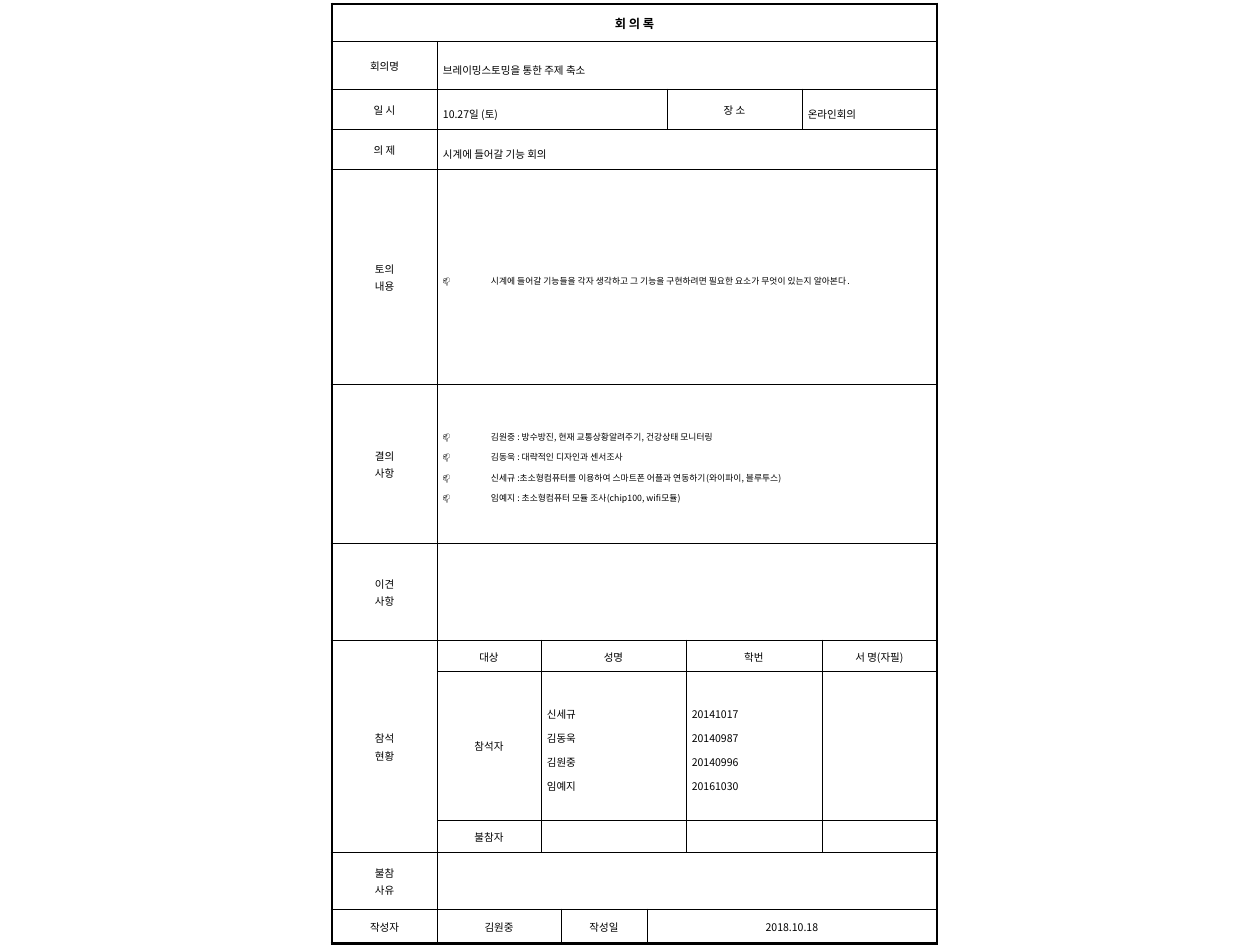
"""Build a one-page meeting minutes form as a merged table."""
from itertools import product

from lxml.etree import SubElement
from pptx import Presentation
from pptx.dml.color import RGBColor
from pptx.enum.text import MSO_ANCHOR as Anchor, PP_ALIGN as Align
from pptx.oxml.ns import qn
from pptx.util import Emu, Pt

COLORS = {"ink": "000000"}
FONT = "Noto Sans CJK KR"
PX = 914400 / 126
THIN, THICK = 0.25, 1.7
COLUMNS = [105, 104, 20, 86, 20, 19, 116, 20, 115]
ROWS = [37, 48, 40, 40, 215, 159, 97, 31, 149, 32, 57, 35]

TITLE = dict(size=7, bold=True)
LABEL = dict()
ENTRY = dict(align=Align.JUSTIFY, spacing=1.6)
ITEM = dict(ENTRY, size=5, bullet="📫")

CELLS = [
    (0, 0, 1, 9, "회 의 록", TITLE),
    (1, 0, 1, 1, "회의명", LABEL),
    (1, 1, 1, 8, "브레이밍스토밍을 통한 주제 축소", ENTRY),
    (2, 0, 1, 1, "일 시", LABEL),
    (2, 1, 1, 4, "10.27일 (토)", ENTRY),
    (2, 5, 1, 2, "장 소", LABEL),
    (2, 7, 1, 2, "온라인회의", ENTRY),
    (3, 0, 1, 1, "의 제", LABEL),
    (3, 1, 1, 8, "시계에 들어갈 기능 회의", ENTRY),
    (4, 0, 1, 1, "토의\n내용", LABEL),
    (4, 1, 1, 8, "시계에 들어갈 기능들을 각자 생각하고 그 기능을 구현하려면 "
                 "필요한 요소가 무엇이 있는지 알아본다.", ITEM),
    (5, 0, 1, 1, "결의\n사항", LABEL),
    (5, 1, 1, 8, "김원중 : 방수방진, 현재 교통상황알려주기, 건강상태 모니터링\n"
                 "김동욱 : 대략적인 디자인과 센서조사\n"
                 "신세규 :초소형컴퓨터를 이용하여 스마트폰 어플과 연동하기(와이파이, 블루투스)\n"
                 "임예지 : 초소형컴퓨터 모듈 조사(chip100, wifi모듈)", ITEM),
    (6, 0, 1, 1, "이견\n사항", LABEL),
    (6, 1, 1, 8, "", ENTRY),
    (7, 0, 3, 1, "참석\n현황", LABEL),
    (7, 1, 1, 1, "대상", LABEL),
    (7, 2, 1, 4, "성명", LABEL),
    (7, 6, 1, 2, "학번", LABEL),
    (7, 8, 1, 1, "서 명(자필)", LABEL),
    (8, 1, 1, 1, "참석자", LABEL),
    (8, 2, 1, 4, "신세규\n김동욱\n김원중\n임예지", ENTRY),
    (8, 6, 1, 2, "20141017\n20140987\n20140996\n20161030", ENTRY),
    (8, 8, 1, 1, "", ENTRY),
    (9, 1, 1, 1, "불참자", LABEL),
    (9, 2, 1, 4, "", ENTRY),
    (9, 6, 1, 2, "", ENTRY),
    (9, 8, 1, 1, "", ENTRY),
    (10, 0, 1, 1, "불참\n사유", LABEL),
    (10, 1, 1, 8, "", ENTRY),
    (11, 0, 1, 1, "작성자", LABEL),
    (11, 1, 1, 2, "김원중", LABEL),
    (11, 3, 1, 1, "작성일", LABEL),
    (11, 4, 1, 5, "2018.10.18", LABEL),
]


def px(length):
    return Emu(round(length * PX))


def write_para(para, text, *, size=6, bold=False, align=Align.CENTER, spacing=1.14, bullet=None):
    para.alignment, para.line_spacing = align, spacing
    if bullet:
        props = para._p.get_or_add_pPr()
        props.set("marL", str(px(48)))
        props.set("indent", str(-px(48)))
        SubElement(props, qn("a:buFont"), typeface=FONT)
        SubElement(props, qn("a:buChar"), char=bullet)
    if not text:
        SubElement(para._p, qn("a:endParaRPr"), sz=str(size * 100))
        return
    span = para.add_run()
    span.text = text
    span.font.size, span.font.bold, span.font.name = Pt(size), bold, FONT
    span.font.color.rgb = RGBColor.from_string(COLORS["ink"])
    SubElement(span._r.get_or_add_rPr(), qn("a:ea"), typeface=FONT)


class MinutesPage:
    """Holds the page and draws the form on it."""

    def __init__(self, page):
        self.page = page

    def table(self, left, top, columns, rows):
        frame = self.page.shapes.add_table(
            len(rows), len(columns), px(left), px(top), px(sum(columns)), px(sum(rows)))
        grid = frame.table
        grid.first_row = grid.horz_banding = False
        for column, width in zip(grid.columns, columns):
            column.width = px(width)
        for row, height in zip(grid.rows, rows):
            row.height = px(height)
        return grid

    def borders(self, cell, widths):
        props = cell._tc.get_or_add_tcPr()
        for side, width in widths.items():
            line = SubElement(props, qn(f"a:ln{side}"), w=str(Pt(width)))
            fill = SubElement(line, qn("a:solidFill"))
            SubElement(fill, qn("a:srgbClr"), val=COLORS["ink"])

    def region(self, grid, row, col, height, width, text, style):
        bottom, right = row + height - 1, col + width - 1
        origin = grid.cell(row, col)
        if height * width > 1:
            origin.merge(grid.cell(bottom, right))
        outer = {
            "L": THICK if col == 0 else THIN,
            "R": THICK if right == len(COLUMNS) - 1 else THIN,
            "T": THICK if row == 0 else THIN,
            "B": THICK if bottom == len(ROWS) - 1 else THIN,
        }
        for y, x in product(range(row, bottom + 1), range(col, right + 1)):
            cell = grid.cell(y, x)
            on_edge = {"L": x == col, "R": x == right, "T": y == row, "B": y == bottom}
            is_origin = (y, x) == (row, col)
            self.borders(cell, {side: outer[side] for side in outer if is_origin or on_edge[side]})
            cell.fill.background()
            cell.vertical_anchor = Anchor.MIDDLE
            cell.margin_left = cell.margin_right = px(6)
            cell.margin_top = cell.margin_bottom = px(4)
            if not is_origin:
                write_para(cell.text_frame.paragraphs[0], "")
        box = origin.text_frame
        for index, line in enumerate(text.split("\n")):
            write_para(box.add_paragraph() if index else box.paragraphs[0], line, **style)


def main():
    deck = Presentation()
    deck.slide_width, deck.slide_height = px(1260), px(945)
    form = MinutesPage(deck.slides.add_slide(deck.slide_layouts[6]))
    grid = form.table(332, 4, COLUMNS, ROWS)
    for cell in CELLS:
        form.region(grid, *cell)
    deck.save("out.pptx")


if __name__ == "__main__":
    main()
